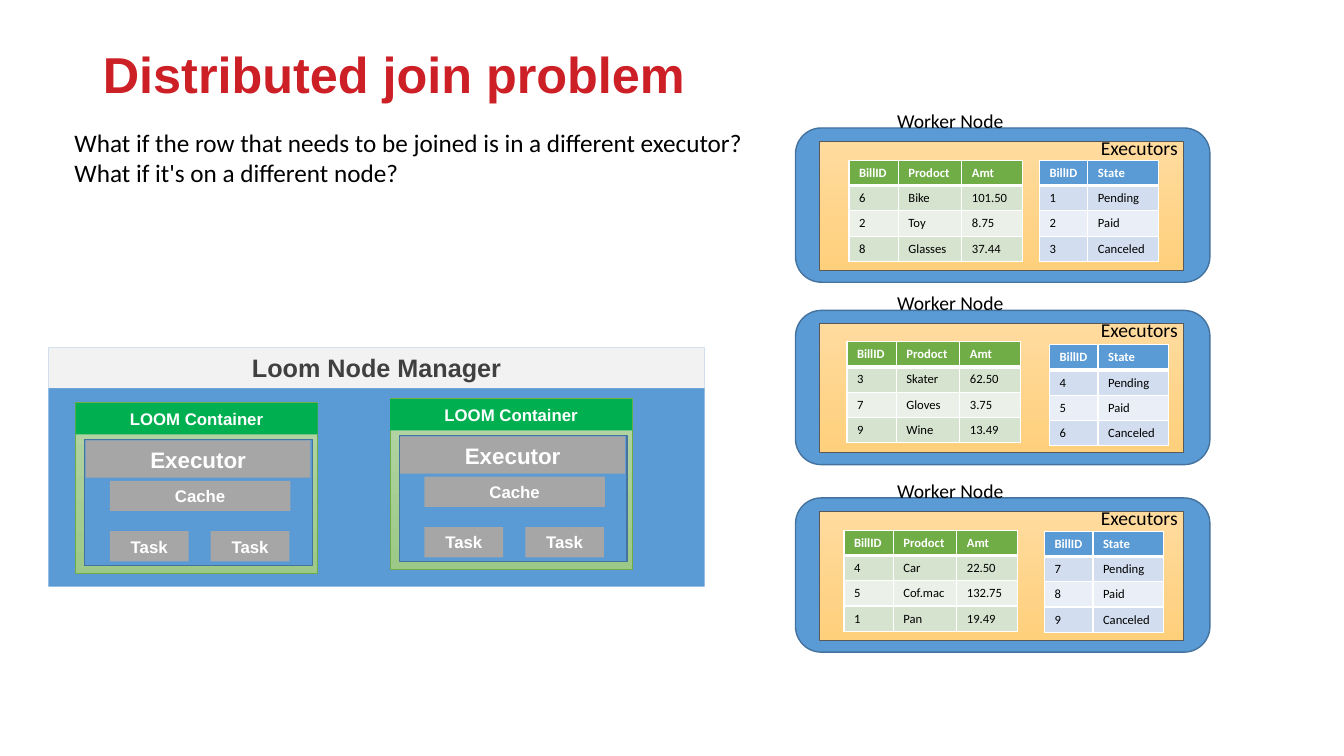
from lxml import etree
from pptx import Presentation
from pptx.dml.color import RGBColor
from pptx.enum.shapes import MSO_SHAPE
from pptx.enum.text import MSO_ANCHOR, MSO_AUTO_SIZE, PP_ALIGN
from pptx.oxml.ns import qn
from pptx.util import Inches, Pt

RECT, ROUND = MSO_SHAPE.RECTANGLE, MSO_SHAPE.ROUNDED_RECTANGLE
MIDDLE = MSO_ANCHOR.MIDDLE
LEFT, CENTER = PP_ALIGN.LEFT, PP_ALIGN.CENTER
NO_FIT = MSO_AUTO_SIZE.NONE

BLUE, BLUE_EDGE = "5B9BD5", "43739E"
GREEN, GRAY, WHITE, BLACK = "70AD47", "A6A6A6", "FFFFFF", "000000"
BILL_COLORS = (GREEN, "D5E3CF", "EBF1E9")
STATE_COLORS = (BLUE, "D2DEEF", "EAEFF7")
BILL_WIDTHS, STATE_WIDTHS = (0.49, 0.63, 0.6), (0.48, 0.7)
ROW_HEIGHT = 0.25
STATES = ("Pending", "Paid", "Canceled")

# Node top, bill table position and rows, state table position and first ID
WORKERS = [
    (1.27, (8.42, 1.59), [("6", "Bike", "101.50"), ("2", "Toy", "8.75"),
                          ("8", "Glasses", "37.44")], (10.31, 1.59), 1),
    (3.08, (8.4, 3.39), [("3", "Skater", "62.50"), ("7", "Gloves", "3.75"),
                         ("9", "Wine", "13.49")], (10.41, 3.42), 4),
    (4.94, (8.37, 5.26), [("4", "Car", "22.50"), ("5", "Cof.mac", "132.75"),
                          ("1", "Pan", "19.49")], (10.36, 5.27), 7),
]


def rgb(value):
    return RGBColor.from_string(value)


class SlideBuilder:
    """Draws styled elements on one slide."""

    def __init__(self, slide):
        self.slide = slide
        self.shapes = slide.shapes

    def start_group(self):
        """Send the boxes that follow into a new group."""
        self.shapes = self.slide.shapes.add_group_shape().shapes

    def style(self, tf, size, color, font="Calibri", bold=False, align=LEFT):
        for p in tf.paragraphs:
            p.alignment = align
            for r in p.runs:
                r.font.name = font
                r.font.size = Pt(size)
                r.font.bold = bold
                r.font.color.rgb = rgb(color)

    def title(self, text, x, y, w, h):
        sp = self.slide.shapes.title
        sp.left, sp.top, sp.width, sp.height = map(Inches, (x, y, w, h))
        tf = sp.text_frame
        tf.text = text
        tf.auto_size = NO_FIT
        tf.vertical_anchor = MIDDLE
        tf.paragraphs[0].line_spacing = 0.9
        self.style(tf, 36, "CD1F26", "Arial", True)

    def label(self, text, x, y, w, h, size=14):
        sp = self.slide.shapes.add_textbox(*map(Inches, (x, y, w, h)))
        tf = sp.text_frame
        tf.text = text
        tf.word_wrap = False
        self.style(tf, size, BLACK)

    def box(self, x, y, w, h, fill, line=None, weight=1.0, kind=RECT,
            text="", size=12, color=WHITE):
        """Draw a box; a pair of fill colours makes a vertical gradient."""
        sp = self.shapes.add_shape(kind, *map(Inches, (x, y, w, h)))
        sp.shadow.inherit = False
        if isinstance(fill, tuple):
            sp.fill.gradient()
            sp.fill.gradient_angle = 270
            for stop, value in zip(sp.fill.gradient_stops, fill):
                stop.color.rgb = rgb(value)
        else:
            sp.fill.solid()
            sp.fill.fore_color.rgb = rgb(fill)
        if line:
            sp.line.color.rgb = rgb(line)
            sp.line.width = Pt(weight)
        else:
            sp.line.fill.background()
        if text:
            tf = sp.text_frame
            tf.text = text
            tf.word_wrap = True
            tf.vertical_anchor = MIDDLE
            self.style(tf, size, color, "Arial", True, CENTER)

    def borders(self, cell, row):
        """White cell borders, thick between the header and the first row."""
        tc_pr = cell._tc.get_or_add_tcPr()
        thick = {0: "lnB", 1: "lnT"}.get(row)
        for side in ("lnL", "lnR", "lnT", "lnB"):
            width = Pt(3 if side == thick else 1)
            ln = etree.SubElement(tc_pr, qn("a:" + side), w=str(width))
            fill = etree.SubElement(ln, qn("a:solidFill"))
            etree.SubElement(fill, qn("a:srgbClr"), val=WHITE)

    def table(self, position, widths, rows, colors):
        x, y = position
        frame = self.slide.shapes.add_table(
            len(rows), len(widths), Inches(x), Inches(y),
            Inches(sum(widths)), Inches(ROW_HEIGHT * len(rows)))
        table = frame.table
        for column, width in zip(table.columns, widths):
            column.width = Inches(width)
        header, odd, even = colors
        for i, values in enumerate(rows):
            fill = header if i == 0 else odd if i % 2 else even
            for j, value in enumerate(values):
                cell = table.cell(i, j)
                cell.text = value
                self.style(cell.text_frame, 9, BLACK if i else WHITE,
                           bold=i == 0)
                self.borders(cell, i)
                cell.fill.solid()
                cell.fill.fore_color.rgb = rgb(fill)

    def worker(self, top, bill_at, bills, state_at, first_id):
        self.box(7.89, top, 4.11, 1.53, BLUE, BLUE_EDGE, kind=ROUND)
        self.box(8.13, top + 0.13, 3.61, 1.28, ("FFDB9E", "FFD07C"),
                 "595959", 0.75)
        self.label("Worker Node", 8.8, top - 0.24, 1.27, 0.34)
        self.label("Executors", 10.82, top + 0.03, 0.97, 0.34)
        states = [(str(n), state) for n, state in enumerate(STATES, first_id)]
        self.table(state_at, STATE_WIDTHS, [("BillID", "State")] + states,
                   STATE_COLORS)
        self.table(bill_at, BILL_WIDTHS,
                   [("BillID", "Prodoct", "Amt")] + bills, BILL_COLORS)

    def container(self, x, y):
        self.box(x, y, 2.4, 1.7, ("B5D5A7", "9CC987"), GREEN, 0.5)
        self.box(x, y + 0.01, 2.4, 0.31, "00B050", text="LOOM Container")
        self.box(x + 0.09, y + 0.37, 2.26, 1.25, BLUE, BLUE_EDGE)
        self.box(x + 0.1, y + 0.38, 2.23, 0.37, GRAY, text="Executor", size=16)
        for dx in (0.34, 1.34):
            self.box(x + dx, y + 1.28, 0.78, 0.3, GRAY, text="Task")
        self.box(x + 0.34, y + 0.78, 1.79, 0.3, GRAY, text="Cache")


def main():
    prs = Presentation()
    prs.slide_width, prs.slide_height = Inches(13.33), Inches(7.5)
    s = SlideBuilder(prs.slides.add_slide(prs.slide_layouts[5]))

    s.title("Distributed join problem", 0.92, 0.4, 6.11, 0.74)
    for worker in WORKERS:
        s.worker(*worker)
    s.label("What if the row that needs to be joined is in a different "
            "executor?\nWhat if it's on a different node?",
            0.64, 1.21, 6.91, 0.71, 18)

    s.start_group()
    s.box(0.48, 3.45, 6.51, 2.37, BLUE)
    s.box(0.48, 3.45, 6.51, 0.4, "F2F2F2", text="Loom Node Manager",
          size=18, color="404040")
    for x, y in ((0.75, 3.99), (3.87, 3.95)):
        s.container(x, y)

    prs.save("out.pptx")


if __name__ == "__main__":
    main()
